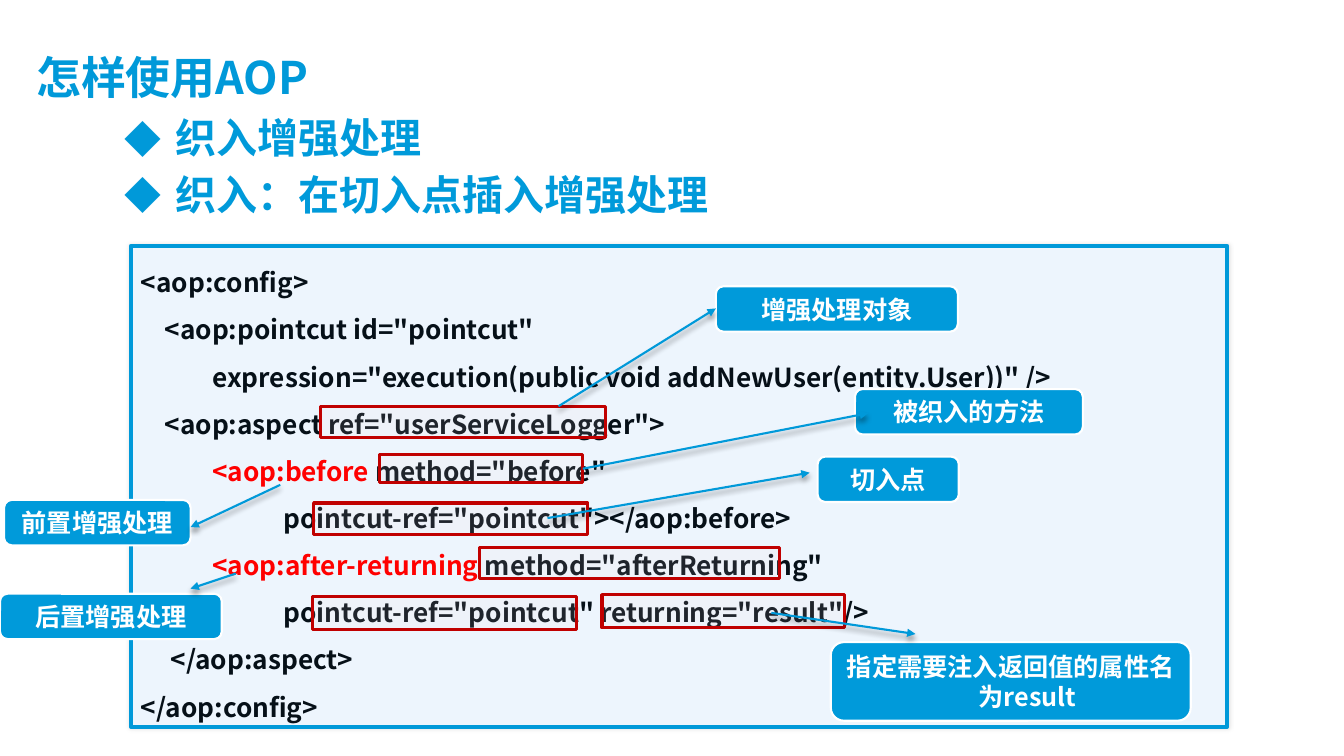
from pptx import Presentation
from pptx.dml.color import RGBColor
from pptx.enum.shapes import MSO_CONNECTOR, MSO_SHAPE
from pptx.enum.text import MSO_ANCHOR, PP_ALIGN
from pptx.oxml.ns import qn
from pptx.util import Inches, Pt
from lxml.etree import SubElement

COLORS = {
    "blue": "0099D9",
    "callout": "009ADA",
    "panel": "EDF5FD",
    "ink": "061018",
    "red": "FF0000",
    "frame": "C00000",
    "blush": "FFDDDD",
    "white": "FFFFFF",
    "shade": "000000",
}
FONT = "Noto Sans CJK SC"


class SlideWriter:
    def __init__(self, slide):
        self.slide = slide

    def color(self, name):
        return RGBColor.from_string(COLORS[name])

    def apply(self, target, **values):
        for name, value in values.items():
            setattr(target, name, value)

    def run(self, paragraph, text, size, color):
        run = paragraph.add_run()
        run.text = text
        self.apply(run.font, name=FONT, size=Pt(size), bold=True)
        run.font.color.rgb = self.color(color)
        SubElement(run.font._element, qn("a:ea"), typeface=FONT)

    def indent(self, paragraph, left, first):
        properties = paragraph._p.get_or_add_pPr()
        properties.set("marL", str(Inches(left)))
        properties.set("indent", str(Inches(first)))
        return properties

    def shadow(self, effects, opacity, blur, distance, angle):
        outer = SubElement(effects, qn("a:outerShdw"), blurRad=str(Pt(blur)),
                           dist=str(Pt(distance)), dir=str(angle * 60000),
                           rotWithShape="0")
        tint = SubElement(outer, qn("a:srgbClr"), val=COLORS["shade"])
        SubElement(tint, qn("a:alpha"), val=str(opacity * 1000))

    def textbox(self, box, **frame_format):
        frame = self.slide.shapes.add_textbox(*map(Inches, box)).text_frame
        self.apply(frame, word_wrap=True, **frame_format)
        return frame

    def shape(self, kind, box, fill, line, width):
        shape = self.slide.shapes.add_shape(kind, *map(Inches, box))
        shape.shadow.inherit = False
        shape.fill.solid()
        shape.fill.fore_color.rgb = self.color(fill)
        shape.line.color.rgb = self.color(line)
        shape.line.width = Pt(width)
        return shape

    def title(self, text, box):
        frame = self.textbox(box, vertical_anchor=MSO_ANCHOR.MIDDLE, margin_left=0,
                             margin_top=0)
        frame.paragraphs[0].line_spacing = 0.9
        self.run(frame.paragraphs[0], text, 32, "blue")

    def bullets(self, items, box):
        frame = self.textbox(box)
        for index, item in enumerate(items):
            paragraph = frame.add_paragraph() if index else frame.paragraphs[0]
            if index:
                paragraph.space_before = Pt(5)
            properties = self.indent(paragraph, 1.17, -0.5)
            tint = SubElement(properties, qn("a:buClr"))
            SubElement(tint, qn("a:srgbClr"), val=COLORS["blue"])
            SubElement(properties, qn("a:buSzPct"), val="90000")
            SubElement(properties, qn("a:buFont"), typeface=FONT)
            SubElement(properties, qn("a:buChar"), char="◆")
            self.run(paragraph, item, 29.3, "callout")

    def code(self, lines, box):
        panel = self.shape(MSO_SHAPE.ROUNDED_RECTANGLE, box, "panel", "blue", 3)
        panel.adjustments[0] = 0
        self.shadow(panel._element.spPr.find(qn("a:effectLst")), 10, 3, 0, 0)
        frame = panel.text_frame
        self.apply(frame, word_wrap=True, vertical_anchor=MSO_ANCHOR.TOP)
        for index, line in enumerate(lines):
            paragraph = frame.add_paragraph() if index else frame.paragraphs[0]
            self.apply(paragraph, alignment=PP_ALIGN.LEFT, line_spacing=1.5)
            for text, color in line:
                self.run(paragraph, text, 18.7, color)

    def callout(self, text, box):
        label = self.shape(MSO_SHAPE.ROUNDED_RECTANGLE, box, "callout", "white", 1.5)
        frame = label.text_frame
        self.apply(frame, word_wrap=True, vertical_anchor=MSO_ANCHOR.MIDDLE)
        paragraph = frame.paragraphs[0]
        paragraph.alignment = PP_ALIGN.CENTER
        self.indent(paragraph, 0.33, -0.33)
        self.run(paragraph, text, 18, "white")

    def highlight(self, box):
        frame = self.shape(MSO_SHAPE.RECTANGLE, box, "blush", "frame", 2.25)
        tint = frame._element.spPr.find(qn("a:solidFill"))[0]
        SubElement(tint, qn("a:alpha"), val="10000")

    def arrow(self, *ends):
        arrow = self.slide.shapes.add_connector(MSO_CONNECTOR.STRAIGHT, *map(Inches, ends))
        arrow.line.color.rgb = self.color("blue")
        arrow.line.width = Pt(1.5)
        SubElement(arrow.line._get_or_add_ln(), qn("a:tailEnd"), type="triangle")
        effects = SubElement(arrow._element.spPr, qn("a:effectLst"))
        self.shadow(effects, 40, 4, 3, 90)


CODE = [
    [("<aop:config>", "ink")],
    [('    <aop:pointcut id="pointcut"', "ink")],
    [('            expression="execution(public void addNewUser(entity.User))" />', "ink")],
    [('    <aop:aspect ref="userServiceLogger">', "ink")],
    [("            <aop:before ", "red"), ('method="before"', "ink")],
    [('                        pointcut-ref="pointcut"></aop:before>', "ink")],
    [("            <aop:after-returning ", "red"), ('method="afterReturning"', "ink")],
    [('                        pointcut-ref="pointcut" returning="result"/>', "ink")],
    [("     </aop:aspect>", "ink")],
    [("</aop:config>", "ink")],
]
CALLOUTS = [
    ("切入点", (8.11, 4.53, 1.4, 0.45)),
    ("被织入的方法", (8.48, 3.86, 2.26, 0.45)),
    ("增强处理对象", (7.1, 2.84, 2.4, 0.45)),
    ("前置增强处理", (0.04, 4.96, 1.85, 0.45)),
    ("后置增强处理", (0, 5.89, 2.2, 0.45)),
    ("指定需要注入返回值的属性名为result", (8.24, 6.37, 3.57, 0.78)),
]
HIGHLIGHTS = [
    (3.18, 4.03, 2.83, 0.31),
    (3.11, 4.99, 2.72, 0.31),
    (3.76, 4.51, 2.02, 0.28),
    (5.97, 5.9, 2.41, 0.33),
    (4.76, 5.43, 2.97, 0.31),
    (3.1, 5.92, 2.62, 0.33),
]
ARROWS = [
    (7.65, 6.08, 9.08, 6.29),
    (5.43, 5.14, 8.03, 4.69),
    (5.78, 4.65, 8.61, 4.1),
    (5.54, 4.03, 7.1, 3.06),
    (2.78, 4.81, 1.89, 5.23),
    (2.34, 5.69, 1.89, 5.84),
]


def main():
    deck = Presentation()
    deck.slide_width, deck.slide_height = Inches(13.33), Inches(7.5)
    writer = SlideWriter(deck.slides.add_slide(deck.slide_layouts[6]))
    writer.title("怎样使用AOP", (0.36, 0.3, 11.94, 1.03))
    writer.bullets(["织入增强处理", "织入：在切入点插入增强处理"], (0.47, 1.07, 11.32, 5.41))
    writer.code(CODE, (1.3, 2.44, 10.87, 4.77))
    for text, box in CALLOUTS:
        writer.callout(text, box)
    for box in HIGHLIGHTS:
        writer.highlight(box)
    for ends in ARROWS:
        writer.arrow(*ends)
    deck.save("out.pptx")


if __name__ == "__main__":
    main()
